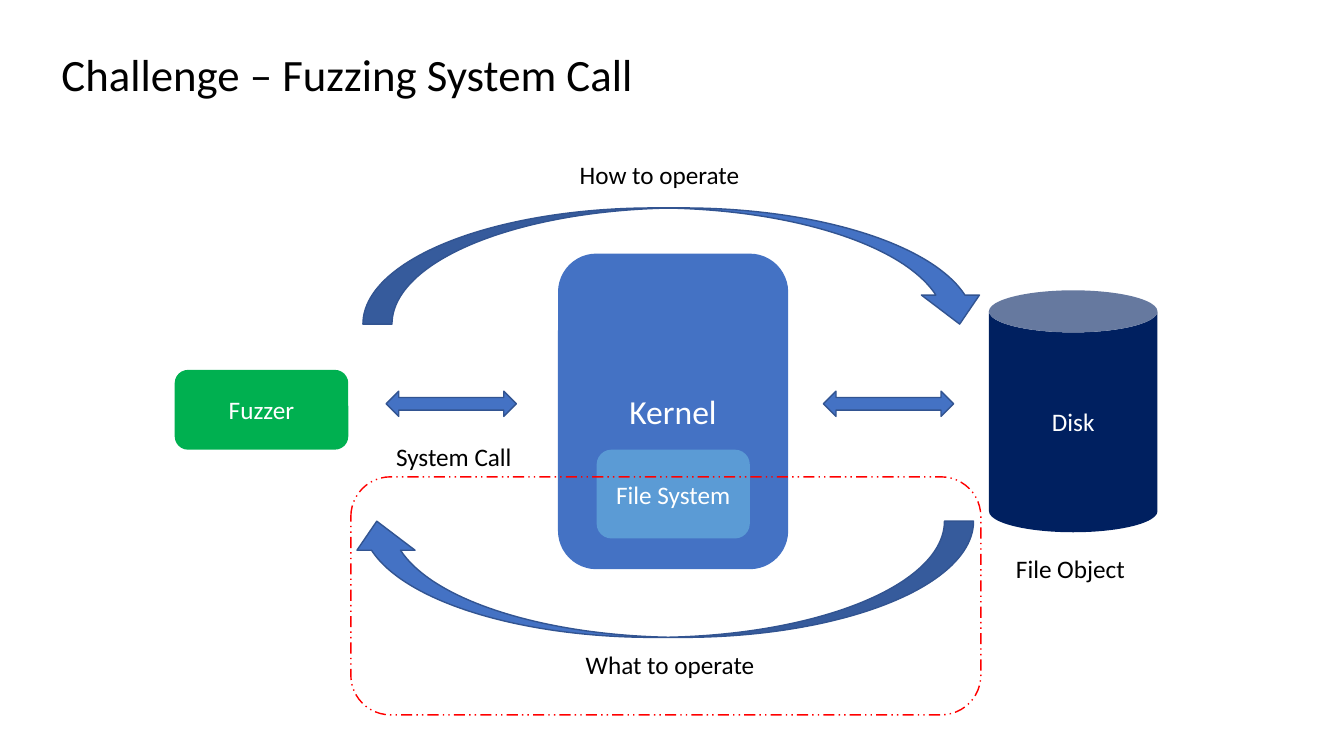
import pptx
import pptx.util
import pptx.dml.color
import pptx.enum.dml
import pptx.enum.shapes
import pptx.enum.text

Pt = pptx.util.Pt
MSO = pptx.enum.shapes.MSO_SHAPE
ANCHOR = pptx.enum.text.MSO_ANCHOR
ALIGN = pptx.enum.text.PP_ALIGN
C = {"black": "000000", "white": "FFFFFF", "green": "00B050", "blue": "4472C4",
     "light": "5B9BD5", "navy": "002060", "edge": "325491", "red": "FF0000"}


def rgb(name):
    return pptx.dml.color.RGBColor.from_string(C[name])


def write(sp, text, size=18, color="black", align=ALIGN.LEFT, anchor=ANCHOR.TOP):
    tf = sp.text_frame
    tf.word_wrap = True
    tf.vertical_anchor = anchor
    p = tf.paragraphs[0]
    p.alignment = align
    r = p.add_run()
    r.text = text
    r.font.name = "Calibri"
    r.font.size = Pt(size)
    r.font.color.rgb = rgb(color)


prs = pptx.Presentation()
prs.slide_width, prs.slide_height = Pt(960), Pt(540)
s = prs.slides.add_slide(prs.slide_layouts[5])

title = s.shapes.title
title.left, title.top, title.width, title.height = Pt(36.7), Pt(29.5), Pt(450), Pt(46)
write(title, "Challenge – Fuzzing System Call", size=32)

blocks = [
    ("Fuzzer", MSO.ROUNDED_RECTANGLE, "green", 18, 124.8, 264.2, 124, 57),
    ("Kernel", MSO.ROUNDED_RECTANGLE, "blue", 24, 398.6, 181.2, 164.4, 225.4),
    ("File System", MSO.ROUNDED_RECTANGLE, "light", 18, 426.2, 321.2, 109.4, 63.4),
    ("Disk", MSO.CAN, "navy", 18, 706.4, 207.4, 120.4, 172.8),
]
for text, kind, fill, size, x, y, w, h in blocks:
    sp = s.shapes.add_shape(kind, Pt(x), Pt(y), Pt(w), Pt(h))
    sp.shadow.inherit = False
    sp.fill.solid()
    sp.fill.fore_color.rgb = rgb(fill)
    sp.line.fill.background()
    write(sp, text, size=size, color="white", align=ALIGN.CENTER, anchor=ANCHOR.MIDDLE)

arrows = [
    (MSO.LEFT_RIGHT_ARROW, 275.8, 279.4, 93, 18, 0),
    (MSO.LEFT_RIGHT_ARROW, 588.2, 279.4, 93, 18, 0),
    (MSO.CURVED_UP_ARROW, 259.2, 148.5, 447, 83, 180),
    (MSO.CURVED_UP_ARROW, 248.4, 372.3, 447, 83, 0),
]
for kind, x, y, w, h, turn in arrows:
    sp = s.shapes.add_shape(kind, Pt(x), Pt(y), Pt(w), Pt(h))
    sp.shadow.inherit = False
    sp.fill.solid()
    sp.fill.fore_color.rgb = rgb("blue")
    sp.line.color.rgb = rgb("edge")
    sp.line.width = Pt(1)
    sp.rotation = turn
    if kind == MSO.CURVED_UP_ARROW:
        sp.element.spPr.xfrm.set("flipH", "1")

labels = [
    ("System Call", 275.8, 311.8, 103),
    ("File Object", 718.6, 391.8, 96),
    ("How to operate", 407, 110.2, 130.4),
    ("What to operate", 411.3, 460.2, 137.6),
]
for text, x, y, w in labels:
    write(s.shapes.add_textbox(Pt(x), Pt(y), Pt(w), Pt(29)), text)

frame = s.shapes.add_shape(MSO.ROUNDED_RECTANGLE, Pt(250.6), Pt(340.6), Pt(450), Pt(170))
frame.shadow.inherit = False
frame.fill.background()
frame.line.color.rgb = rgb("red")
frame.line.width = Pt(1)
frame.line.dash_style = pptx.enum.dml.MSO_LINE.DASH_DOT_DOT

prs.save("out.pptx")
